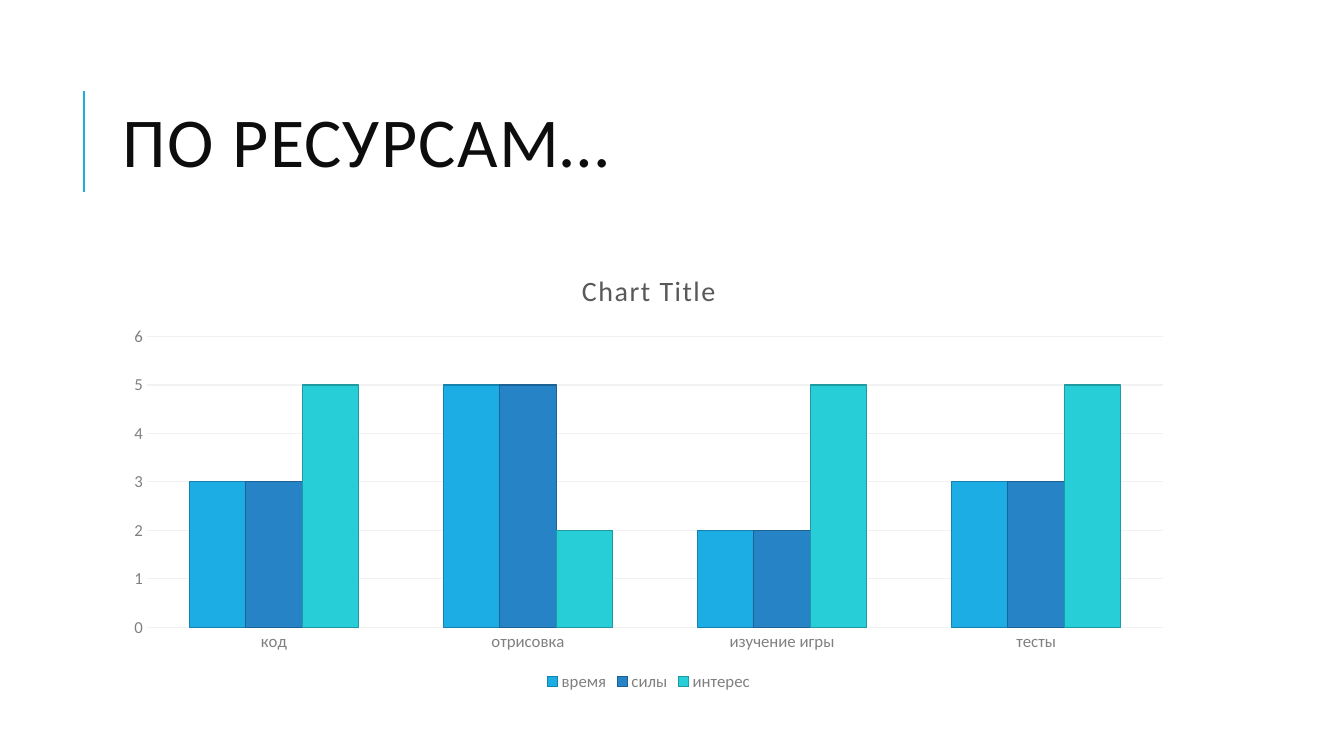
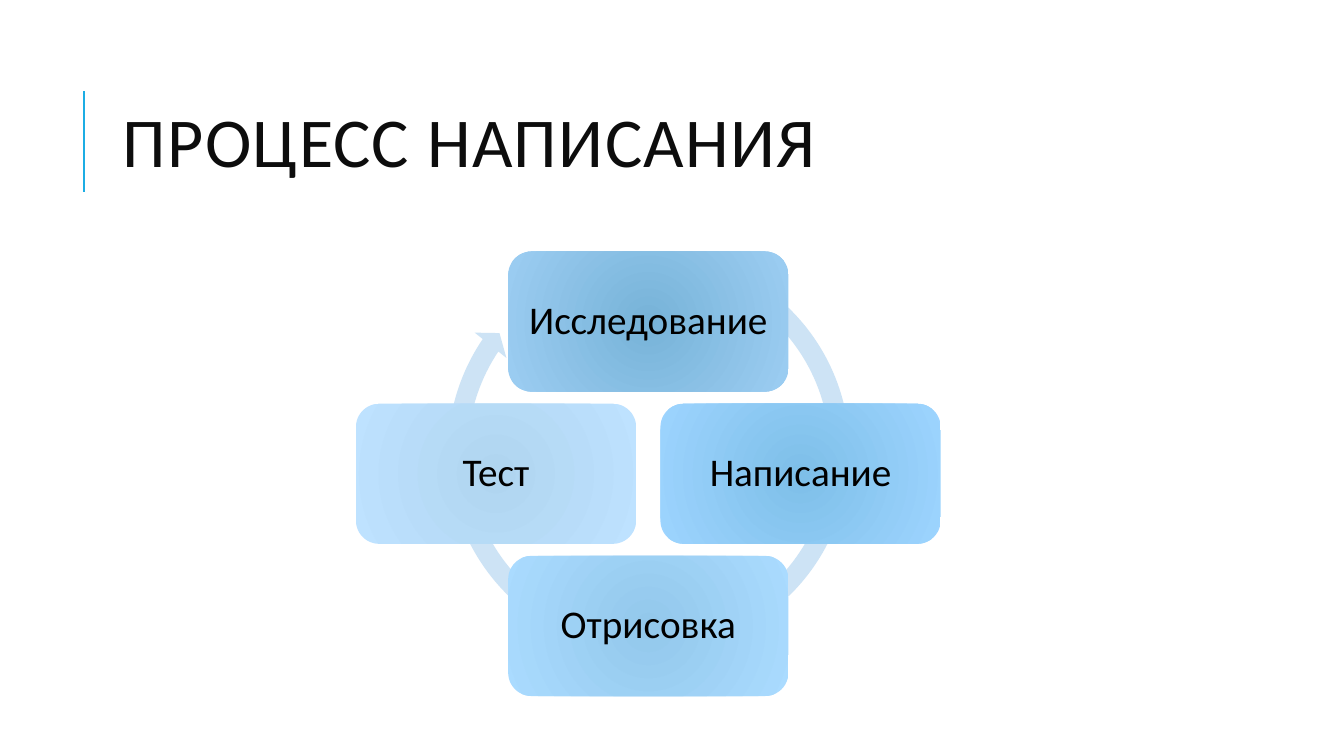
"""Two slides: a chart of resources and the cycle of writing."""
from dataclasses import dataclass
from math import cos, pi, sin

from lxml import etree
from pptx import Presentation
from pptx.chart.data import CategoryChartData
from pptx.dml.color import RGBColor
from pptx.enum.chart import XL_CHART_TYPE, XL_LEGEND_POSITION, XL_TICK_MARK
from pptx.enum.shapes import MSO_CONNECTOR, MSO_SHAPE
from pptx.enum.text import MSO_ANCHOR, PP_ALIGN
from pptx.oxml.ns import qn
from pptx.slide import Slide
from pptx.util import Inches, Pt

COLUMNS = XL_CHART_TYPE.COLUMN_CLUSTERED
LEGEND_BOTTOM = XL_LEGEND_POSITION.BOTTOM
NO_TICK = XL_TICK_MARK.NONE
STRAIGHT = MSO_CONNECTOR.STRAIGHT
ROUND_BOX = MSO_SHAPE.ROUNDED_RECTANGLE
CYCLE_ARROW = MSO_SHAPE.CIRCULAR_ARROW
MIDDLE = MSO_ANCHOR.MIDDLE
CENTER = PP_ALIGN.CENTER


@dataclass(frozen=True)
class Theme:
    """Colours, type sizes and font of the deck."""
    font: str = "Calibri"
    accent: str = "1CADE4"
    title: str = "0D0D0D"
    text: str = "000000"
    chart_title: str = "595959"
    label: str = "808080"
    grid: str = "F2F2F2"
    arrow: str = "CDE3F5"
    title_size: float = 50
    step_size: float = 28
    chart_title_size: float = 20
    label_size: float = 12


@dataclass(frozen=True)
class Series:
    """One column series of the chart."""
    name: str
    values: tuple[int, ...]
    fill: str
    line: str


@dataclass(frozen=True)
class Step:
    """One box of the cycle, with its gradient from centre to edge."""
    text: str
    inner: str
    outer: str


THEME = Theme()
CATEGORIES = ("код", "отрисовка", "изучение игры", "тесты")
SERIES = (
    Series("время", (3, 5, 2, 3), "1CADE4", "1482AC"),
    Series("силы", (3, 5, 2, 3), "2683C6", "1D6294"),
    Series("интерес", (5, 2, 5, 5), "27CED7", "1D9BA1"),
)
STEPS = (  # clockwise from the top
    Step("Исследование", "77B3D8", "9CCDF2"),
    Step("Написание", "7EBFE8", "9DD4FF"),
    Step("Отрисовка", "93C8EB", "AADBFF"),
    Step("Тест", "B0D5F0", "BEE2FF"),
)
ARROW_ADJUSTMENTS = (0.047, 2.729, 128.409, 180.244, 0.048)
CYCLE_CENTER = (6.43, 4.7)
CYCLE_RADIUS = 1.51
STEP_SIZE = (2.78, 1.39)


def rgb(value: str) -> RGBColor:
    """Turn a hex string into a colour."""
    return RGBColor.from_string(value)


def style_font(font, size: float, color: str) -> None:
    """Set the deck font with a size and colour."""
    font.name = THEME.font
    font.size = Pt(size)
    font.bold = False
    font.color.rgb = rgb(color)


def add_run(p, text: str, size: float, color: str, spacing: float = 0) -> None:
    """Add a styled run; spacing is in points between letters."""
    r = p.add_run()
    r.text = text
    style_font(r.font, size, color)
    if spacing:
        r.font._element.set("spc", str(round(spacing * 100)))


def add_titled_slide(prs, title: str) -> Slide:
    """Add a blank slide with the shared title and accent line."""
    s = prs.slides.add_slide(prs.slide_layouts[6])
    line = s.shapes.add_connector(
        STRAIGHT, Inches(0.83), Inches(1.9), Inches(0.83), Inches(0.9))
    line.line.color.rgb = rgb(THEME.accent)
    line.line.width = Pt(1.5)
    etree.SubElement(line._element.spPr, qn("a:effectLst"))

    sp = s.shapes.add_textbox(
        Inches(1.12), Inches(0.64), Inches(10.63), Inches(1.64))
    tf = sp.text_frame
    tf.word_wrap = True
    tf.vertical_anchor = MIDDLE
    p = tf.paragraphs[0]
    p.line_spacing = 0.8
    add_run(p, title, THEME.title_size, THEME.title, spacing=1)
    return s


def add_resource_chart(s: Slide) -> None:
    """Draw the clustered columns with title, axes and legend."""
    data = CategoryChartData()
    data.categories = CATEGORIES
    for item in SERIES:
        data.add_series(item.name, item.values)
    chart = s.shapes.add_chart(
        COLUMNS, Inches(1.12), Inches(2.5), Inches(10.63), Inches(4.4),
        data).chart
    style_font(chart.font, THEME.label_size, THEME.label)

    chart.has_title = True
    p = chart.chart_title.text_frame.paragraphs[0]
    add_run(p, "Chart Title", THEME.chart_title_size, THEME.chart_title,
            spacing=1)
    chart.chart_title.include_in_layout = False

    chart.has_legend = True
    chart.legend.position = LEGEND_BOTTOM
    chart.legend.include_in_layout = False
    style_font(chart.legend.font, THEME.label_size, THEME.label)

    for axis in (chart.category_axis, chart.value_axis):
        axis.major_tick_mark = axis.minor_tick_mark = NO_TICK
        axis.format.line.fill.background()
        style_font(axis.tick_labels.font, THEME.label_size, THEME.label)
    values = chart.value_axis
    values.minimum_scale, values.maximum_scale, values.major_unit = 0, 6, 1
    values.has_major_gridlines = True
    grid = values.major_gridlines.format.line
    grid.color.rgb = rgb(THEME.grid)
    grid.width = Pt(0.75)

    plot = chart.plots[0]
    plot.gap_width = 150
    plot.overlap = 0
    plot.vary_by_categories = False
    for series, item in zip(plot.series, SERIES):
        series.format.fill.solid()
        series.format.fill.fore_color.rgb = rgb(item.fill)
        series.format.line.color.rgb = rgb(item.line)
        series.format.line.width = Pt(0.75)


def fill_radial(sp, inner: str, outer: str) -> None:
    """Fill a shape with a circular gradient."""
    sp.fill.gradient()
    for stop, color, position in zip(
            sp.fill.gradient_stops, (inner, outer), (0, 1)):
        stop.color.rgb = rgb(color)
        stop.position = position
    grad = sp._element.spPr.find(qn("a:gradFill"))
    grad.remove(grad.find(qn("a:lin")))
    circle = etree.SubElement(grad, qn("a:path"), path="circle")
    etree.SubElement(circle, qn("a:fillToRect"),
                     {side: "100000" for side in "ltrb"})


def add_cycle_arrow(s: Slide) -> None:
    """Draw the round arrow behind the steps."""
    sp = s.shapes.add_shape(
        CYCLE_ARROW, Inches(4.34), Inches(2.39), Inches(4.19), Inches(4.19))
    for i, value in enumerate(ARROW_ADJUSTMENTS):
        sp.adjustments[i] = value
    sp.shadow.inherit = False
    sp.fill.solid()
    sp.fill.fore_color.rgb = rgb(THEME.arrow)
    sp.line.fill.background()


def add_step(s: Slide, step: Step, x: float, y: float) -> None:
    """Draw one step box centred on x, y."""
    width, height = STEP_SIZE
    sp = s.shapes.add_shape(
        ROUND_BOX, Inches(x - width / 2), Inches(y - height / 2),
        Inches(width), Inches(height))
    sp.shadow.inherit = False
    fill_radial(sp, step.inner, step.outer)
    sp.line.fill.background()
    tf = sp.text_frame
    tf.word_wrap = True
    tf.vertical_anchor = MIDDLE
    tf.margin_left = tf.margin_right = Inches(0.1)
    p = tf.paragraphs[0]
    p.alignment = CENTER
    p.line_spacing = 0.9
    add_run(p, step.text, THEME.step_size, THEME.text)


def add_cycle(s: Slide) -> None:
    """Place the steps at equal angles around the centre."""
    add_cycle_arrow(s)
    cx, cy = CYCLE_CENTER
    for i, step in enumerate(STEPS):
        angle = 2 * pi * i / len(STEPS)
        add_step(s, step, cx + CYCLE_RADIUS * sin(angle),
                 cy - CYCLE_RADIUS * cos(angle))


def main() -> None:
    """Build and save the deck."""
    prs = Presentation()
    prs.slide_width, prs.slide_height = Inches(13.33), Inches(7.5)
    add_resource_chart(add_titled_slide(prs, "ПО РЕСУРСАМ…"))
    add_cycle(add_titled_slide(prs, "ПРОЦЕСС НАПИСАНИЯ"))
    prs.save("out.pptx")


main()
